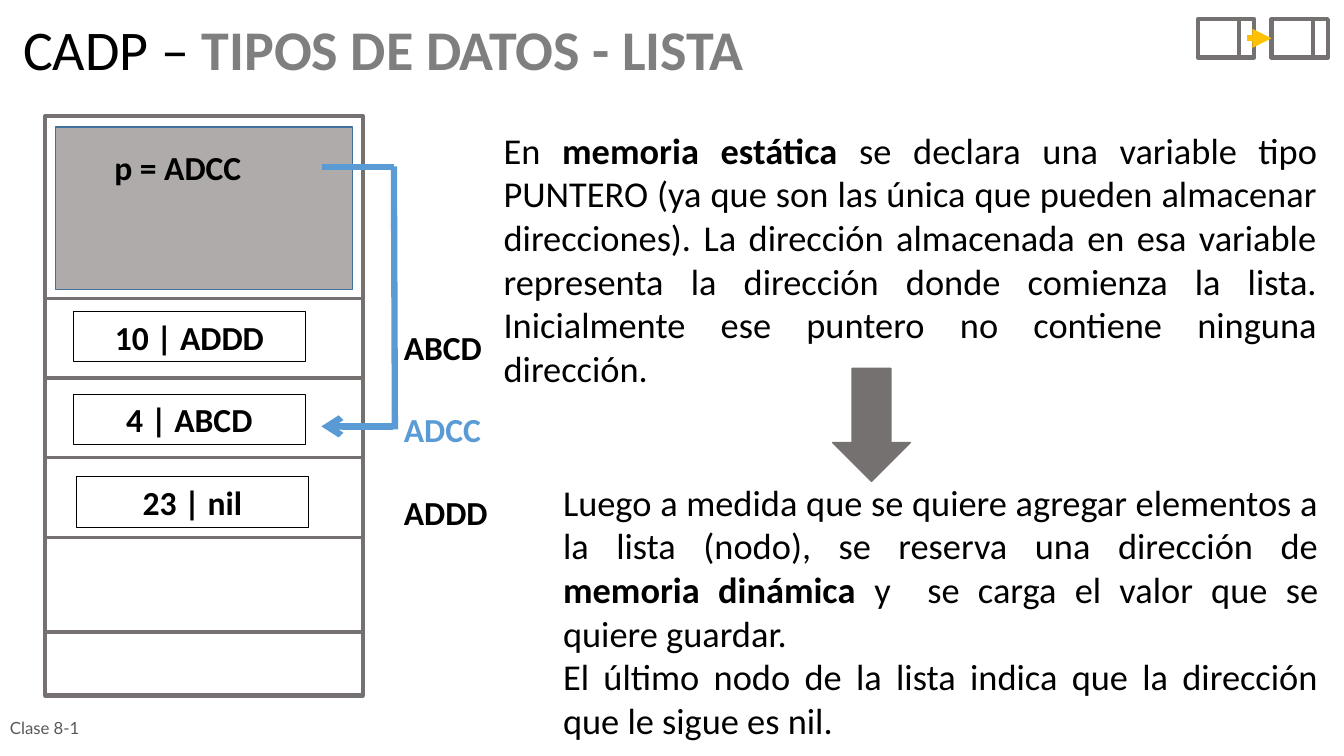
from lxml.etree import SubElement
from pptx import Presentation
from pptx.dml.color import RGBColor
from pptx.enum.shapes import MSO_CONNECTOR, MSO_SHAPE
from pptx.enum.text import MSO_ANCHOR, MSO_AUTO_SIZE, PP_ALIGN
from pptx.oxml.ns import qn
from pptx.util import Emu, Pt

BLACK = RGBColor(0x00, 0x00, 0x00)
TITLE_GRAY = RGBColor(0x7F, 0x7F, 0x7F)
FRAME_GRAY = RGBColor(0x76, 0x71, 0x71)
STATIC_GRAY = RGBColor(0xAF, 0xAB, 0xAB)
STATIC_EDGE = RGBColor(0x41, 0x71, 0x9C)
FOOTER_GRAY = RGBColor(0x59, 0x59, 0x59)
BLUE = RGBColor(0x5B, 0x9B, 0xD5)
AMBER = RGBColor(0xFF, 0xC0, 0x00)

EMU_PER_PX = 9144  # 100 px to the inch


def px(length):
    return Emu(length * EMU_PER_PX)


def write(frame, *paragraphs, size=24, font="Calibri", color=BLACK, bold=False,
          align=PP_ALIGN.LEFT, anchor=MSO_ANCHOR.TOP, spacing=None):
    """Each paragraph is a list of spans: text, or (text, bold, color)."""
    frame.word_wrap = True
    frame.auto_size = MSO_AUTO_SIZE.NONE
    frame.vertical_anchor = anchor
    for index, spans in enumerate(paragraphs):
        para = frame.add_paragraph() if index else frame.paragraphs[0]
        para.alignment = align
        para.line_spacing = spacing
        for item in spans:
            text, heavy, tint = (item, bold, color) if isinstance(item, str) else item
            span = para.add_run()
            span.text = text
            span.font.name = font
            span.font.size = Pt(size)
            span.font.bold = heavy
            span.font.color.rgb = tint


class Slide:
    def __init__(self, deck):
        self.page = deck.slides.add_slide(deck.slide_layouts[5])
        self.shapes = self.page.shapes

    def title(self, x, y, width, height, spans):
        box = self.shapes.title
        box.left, box.top, box.width, box.height = map(px, (x, y, width, height))
        write(box.text_frame, spans, size=40, spacing=0.9, anchor=MSO_ANCHOR.MIDDLE)

    def text(self, x, y, width, height, *paragraphs, **style):
        box = self.shapes.add_textbox(*map(px, (x, y, width, height)))
        write(box.text_frame, *paragraphs, **style)

    def shape(self, x, y, width, height, kind=MSO_SHAPE.RECTANGLE,
              fill=None, line=FRAME_GRAY, weight=3):
        shape = self.shapes.add_shape(kind, *map(px, (x, y, width, height)))
        shape.shadow.inherit = False
        if fill is None:
            shape.fill.background()
        else:
            shape.fill.solid()
            shape.fill.fore_color.rgb = fill
        shape.line.color.rgb = line
        shape.line.width = Pt(weight)
        return shape

    def line(self, x1, y1, x2, y2, color=FRAME_GRAY, weight=2.25, arrow=None):
        line = self.shapes.add_connector(MSO_CONNECTOR.STRAIGHT, *map(px, (x1, y1, x2, y2)))
        line.line.color.rgb = color
        line.line.width = Pt(weight)
        if arrow:
            SubElement(line.line._get_or_add_ln(), qn("a:tailEnd"), type=arrow)
        SubElement(line._element.spPr, qn("a:effectLst"))
        return line


def main():
    deck = Presentation()
    deck.slide_width, deck.slide_height = px(1334), px(750)
    slide = Slide(deck)

    slide.title(13, 14, 874, 76,
                ["CADP – ", ("TIPOS DE DATOS - LISTA", True, TITLE_GRAY)])

    # Linked-node emblem
    for x in (1189, 1262):
        emblem_node = slide.shape(x, 19, 56, 38)
        slide.line(x + 41, 19, x + 41, 57, weight=3)
    link = slide.line(1238, 38, 1262, 38, color=AMBER, weight=4.5, arrow="triangle")
    link.end_connect(emblem_node, 1)

    # Memory frame and its dividers
    slide.shape(45, 115, 315, 575)
    for y in (*range(296, 534, 79), 627):
        slide.line(45, y, 360, y)

    # Static memory with the pointer variable
    slide.shape(55, 126, 295, 161, fill=STATIC_GRAY, line=STATIC_EDGE, weight=1)
    slide.text(90, 141, 173, 50, ["p = ADCC"], bold=True, align=PP_ALIGN.CENTER)

    # Nodes and their addresses
    nodes = [(73, "10 | ADDD", "ABCD", BLACK),
             (73, "4 | ABCD", "ADCC", BLUE),
             (76, "23 | nil", "ADDD", BLACK)]
    for row, (x, content, address, color) in enumerate(nodes):
        y = 309 + 82 * row
        node = slide.shape(x, y, 230, 50, line=BLACK, weight=0.75)
        write(node.text_frame, [content], bold=True, align=PP_ALIGN.CENTER)
        slide.text(391, y + 10, 173, 50, [address], bold=True, color=color)

    # Path from the pointer to the first node
    slide.line(320, 166, 391, 166, color=BLUE, weight=4.5)
    slide.line(391, 165, 392, 426, color=BLUE, weight=4.5)
    slide.line(390, 423, 319, 423, color=BLUE, weight=4.5, arrow="arrow")

    # Explanation
    slide.text(490, 122, 828, 270, [
        "En ", ("memoria estática", True, BLACK),
        " se declara una variable tipo PUNTERO (ya que son las única que pueden "
        "almacenar direcciones). La dirección almacenada en esa variable representa "
        "la dirección donde comienza la lista. Inicialmente ese puntero no contiene "
        "ninguna dirección."], size=26, align=PP_ALIGN.JUSTIFY)
    step = slide.shape(809, 383, 112, 77, MSO_SHAPE.RIGHT_ARROW, fill=FRAME_GRAY, weight=1)
    step.rotation = 90
    slide.text(549, 471, 770, 270, [
        "Luego a medida que se quiere agregar elementos a la lista (nodo), se reserva "
        "una dirección de ", ("memoria dinámica", True, BLACK),
        " y  se carga el valor que se quiere guardar."],
        ["El último nodo de la lista indica que la dirección que le sigue es nil."],
        size=26, align=PP_ALIGN.JUSTIFY)

    # Footer
    slide.text(0, 702, 233, 40, ["Clase 8-1"], size=12, font="Lato",
               color=FOOTER_GRAY, anchor=MSO_ANCHOR.MIDDLE)

    deck.save("out.pptx")


if __name__ == "__main__":
    main()
